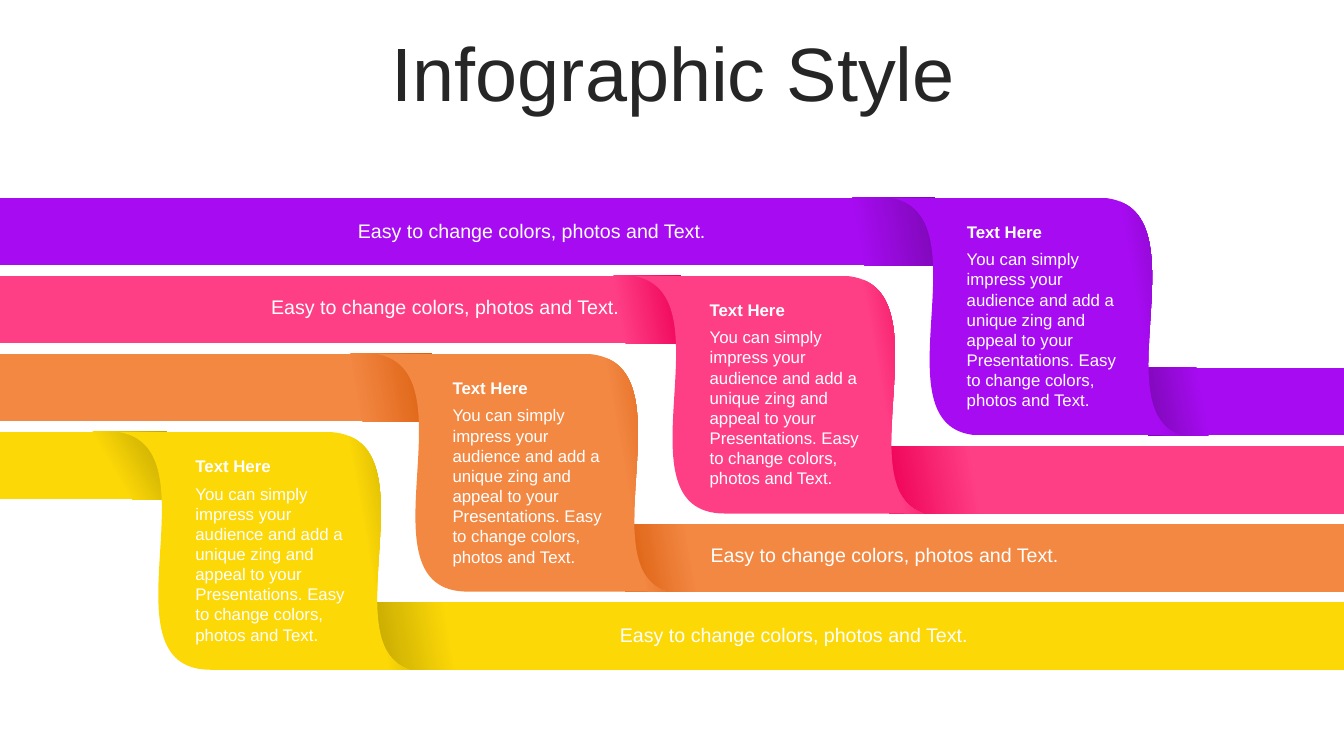
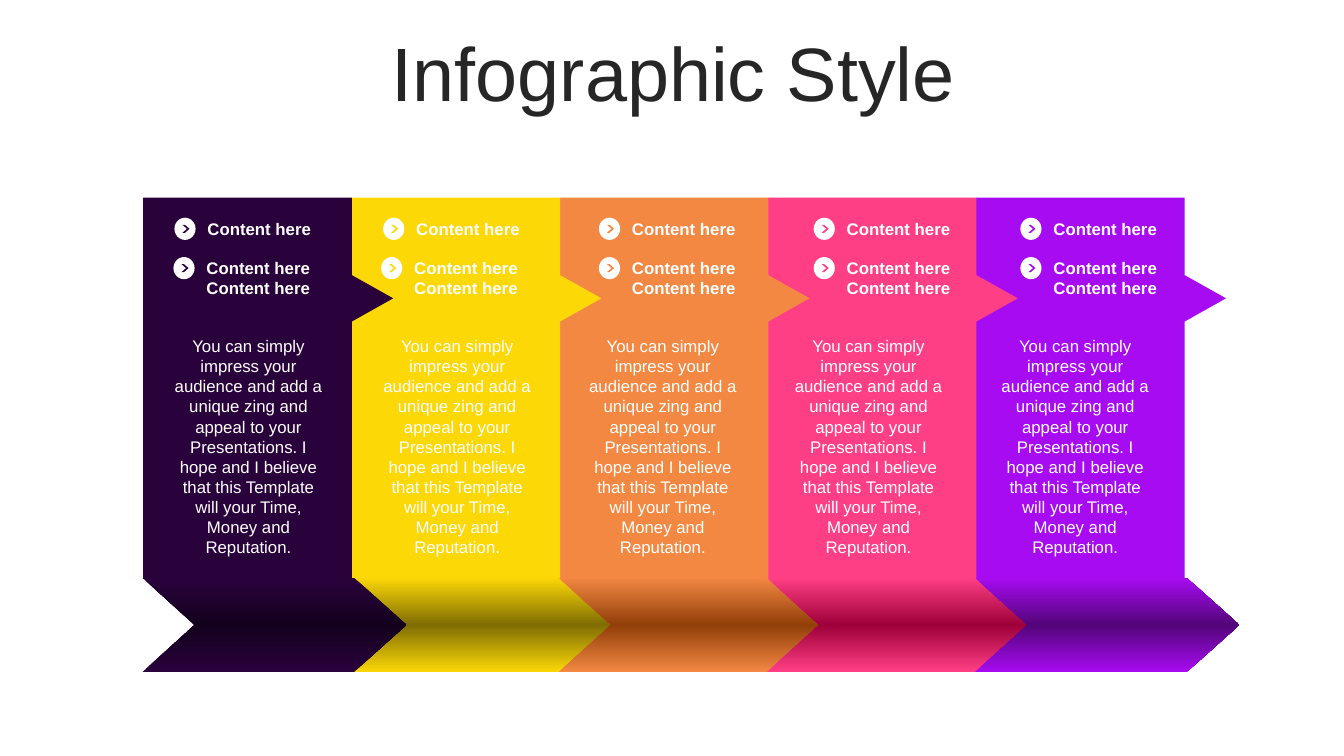
import copy
from dataclasses import dataclass

from pptx import Presentation
from pptx import util as u
from pptx.dml.color import RGBColor
from pptx.enum import shapes, text
from pptx.oxml.ns import qn


@dataclass(frozen=True)
class Theme:
    font: str = "Arial"
    ink: str = "262626"
    white: str = "FFFFFF"
    night: tuple = ("29023C", "14011E")
    yellow: tuple = ("FCD807", "C0A402", "806D02")
    orange: tuple = ("F38843", "DB5E0E", "923F09")
    pink: tuple = ("FF3F85", "EE0057", "9F003A")
    purple: tuple = ("A70BF2", "7D08B5", "530579")
    title_size: int = 54
    label_size: int = 14
    body_size: int = 12


theme = Theme()
WIDTH, HEIGHT = 13.33, 7.5
TOP = 1.96
HUNDREDTH = u.Inches(0.01)
LEFT, CENTER = text.PP_ALIGN.LEFT, text.PP_ALIGN.CENTER


def paint(shape, stops, angle=0):
    shape.shadow.inherit = False
    shape.line.fill.background()
    if len(stops) == 1:
        shape.fill.solid()
        shape.fill.fore_color.rgb = RGBColor.from_string(stops[0][1])
        return
    shape.fill.gradient()
    shape.fill.gradient_angle = angle
    stop_list = shape._element.spPr.find(".//" + qn("a:gsLst"))
    while len(stop_list) < len(stops):
        stop_list.append(copy.deepcopy(stop_list[-1]))
    for stop, (position, color) in zip(shape.fill.gradient_stops, stops):
        stop.position = position / 100
        stop.color.rgb = RGBColor.from_string(color)


def write(slide, box, content, size=theme.body_size, color=theme.white, bold=False, align=LEFT):
    frame = slide.shapes.add_textbox(*map(u.Inches, box)).text_frame
    frame.word_wrap = True
    frame.text = content
    for paragraph in frame.paragraphs:
        paragraph.alignment = align
        paragraph.font.name = theme.font
        paragraph.font.size = u.Pt(size)
        paragraph.font.bold = bold
        paragraph.font.color.rgb = RGBColor.from_string(color)
    return frame


presentation = Presentation()
presentation.slide_width = u.Inches(WIDTH)
presentation.slide_height = u.Inches(HEIGHT)
ribbon_slide, column_slide = [
    presentation.slides.add_slide(presentation.slide_layouts[6]) for _ in range(2)
]
for slide in (ribbon_slide, column_slide):
    title = write(slide, (0.35, 0.37, 12.66, 0.79), "Infographic Style",
                  theme.title_size, theme.ink, align=CENTER)
    title.vertical_anchor = text.MSO_ANCHOR.MIDDLE
    title.paragraphs[0].line_spacing = 0.9

CARD_STEP, ROW_STEP = 2.55, 0.775
CARD_HEIGHT, BAR_HEIGHT = 2.36, 0.67
CARD_CORNERS = [(207, 0), (289, 236), (92, 236), (0, 0)]
CARD_CURVES = {1: [(317, 2), (210, 210)], 3: [(-20, 236), (100, 15)]}
CARD_TEXT = ("You can simply impress your audience and add a unique zing and appeal "
             "to your Presentations. Easy to change colors, photos and Text.")
ribbons = [
    (theme.purple, 9.27, 91, 10, 11.39, 70, (3.45, 2.12)),
    (theme.pink, 6.75, 90, 10, 8.82, 80, (2.59, 2.88)),
    (theme.orange, 4.28, 81, 10, 6.2, 90, (6.95, 5.34)),
    (theme.yellow, 1.65, 63, 30, 3.65, 91, (6.05, 6.13)),
]
for row, (colors, upper_end, upper_stop, upper_angle, lower_start, lower_stop, label) in enumerate(ribbons):
    card_left, card_top = 8.82 - row * CARD_STEP, TOP + row * ROW_STEP
    lower_top = card_top + CARD_HEIGHT - BAR_HEIGHT
    bars = [
        (0, card_top, upper_end, upper_stop, upper_angle, 0),
        (lower_start, lower_top, WIDTH - lower_start, lower_stop, 10, 180),
    ]
    for left, top, width, stop, angle, rotation in bars:
        bar = ribbon_slide.shapes.add_shape(
            shapes.MSO_SHAPE.RECTANGLE, *map(u.Inches, (left, top, width, BAR_HEIGHT)))
        bar.rotation = rotation
        paint(bar, [(stop, colors[0]), (100, colors[1])], angle)

    builder = ribbon_slide.shapes.build_freeform(0, 0, scale=HUNDREDTH)
    builder.add_line_segments(CARD_CORNERS, close=True)
    card = builder.convert_to_shape(u.Inches(card_left), u.Inches(card_top))
    segments = card._element.findall(".//" + qn("a:lnTo"))
    for index, controls in CARD_CURVES.items():
        segment = segments[index]
        segment.tag = qn("a:cubicBezTo")
        for place, (x, y) in enumerate(controls):
            point = copy.deepcopy(segment[-1])
            point.set("x", str(x))
            point.set("y", str(y))
            segment.insert(place, point)
    paint(card, [(81, colors[0]), (100, colors[1])], 10)

    text_left = card_left + 0.67
    write(ribbon_slide, (text_left, card_top + 0.46, 1.76, 1.72), CARD_TEXT)
    write(ribbon_slide, (text_left, card_top + 0.19, 1.78, 0.3), "Text Here", bold=True)
    write(ribbon_slide, (*label, 4.11, 0.35), "Easy to change colors, photos and Text.", theme.label_size)

COLUMN_LEFT, COLUMN_STEP = 1.42, 2.065
COLUMN_OUTLINE = [(207, 0), (207, 77), (248, 100), (207, 123), (207, 378), (0, 378)]
COLUMN_TEXT = ("You can simply impress your audience and add a unique zing and appeal "
               "to your Presentations. I hope and I believe that this Template will "
               "your Time, Money and Reputation.")
columns = [
    (theme.night, 1.73, 1.72, 1.61),
    (theme.yellow, 3.8, 3.78, 3.68),
    (theme.orange, 5.94, 5.94, 5.72),
    (theme.pink, 8.07, 8.07, 7.76),
    (theme.purple, 10.12, 10.12, 9.81),
]
for column, (colors, first_left, second_left, text_left) in reversed(list(enumerate(columns))):
    builder = column_slide.shapes.build_freeform(0, 0, scale=HUNDREDTH)
    builder.add_line_segments(COLUMN_OUTLINE, close=True)
    panel = builder.convert_to_shape(u.Inches(COLUMN_LEFT + column * COLUMN_STEP), u.Inches(TOP))
    paint(panel, [(0, colors[0])])

    items = [
        (first_left, 2.16, 0.3, "Content here"),
        (second_left, 2.55, 0.5, "Content here\nContent here"),
    ]
    for left, top, height, content in items:
        disc = column_slide.shapes.add_shape(
            shapes.MSO_SHAPE.OVAL, *map(u.Inches, (left, top, 0.21, 0.22)))
        paint(disc, [(0, theme.white)])
        mark = column_slide.shapes.add_shape(
            shapes.MSO_SHAPE.CHEVRON, *map(u.Inches, (left + 0.08, top + 0.07, 0.07, 0.08)))
        mark.adjustments[0] = 0.65
        paint(mark, [(0, colors[0])])
        item = write(column_slide, (left + 0.23, top - 0.04, 1.27, height), content, bold=True)
        item.vertical_anchor = text.MSO_ANCHOR.MIDDLE
    write(column_slide, (text_left, 3.28, 1.71, 2.32), COLUMN_TEXT, align=CENTER)

for column in (1, 2, 3, 4, 0):
    colors = columns[column][0]
    arrow = column_slide.shapes.add_shape(
        shapes.MSO_SHAPE.CHEVRON,
        *map(u.Inches, (COLUMN_LEFT - 0.01 + column * COLUMN_STEP, 5.73, 2.62, 0.94)))
    arrow.adjustments[0] = 0.555
    paint(arrow, [(0, colors[0]), (50, colors[-1]), (100, colors[0])], 90)

presentation.save("out.pptx")
